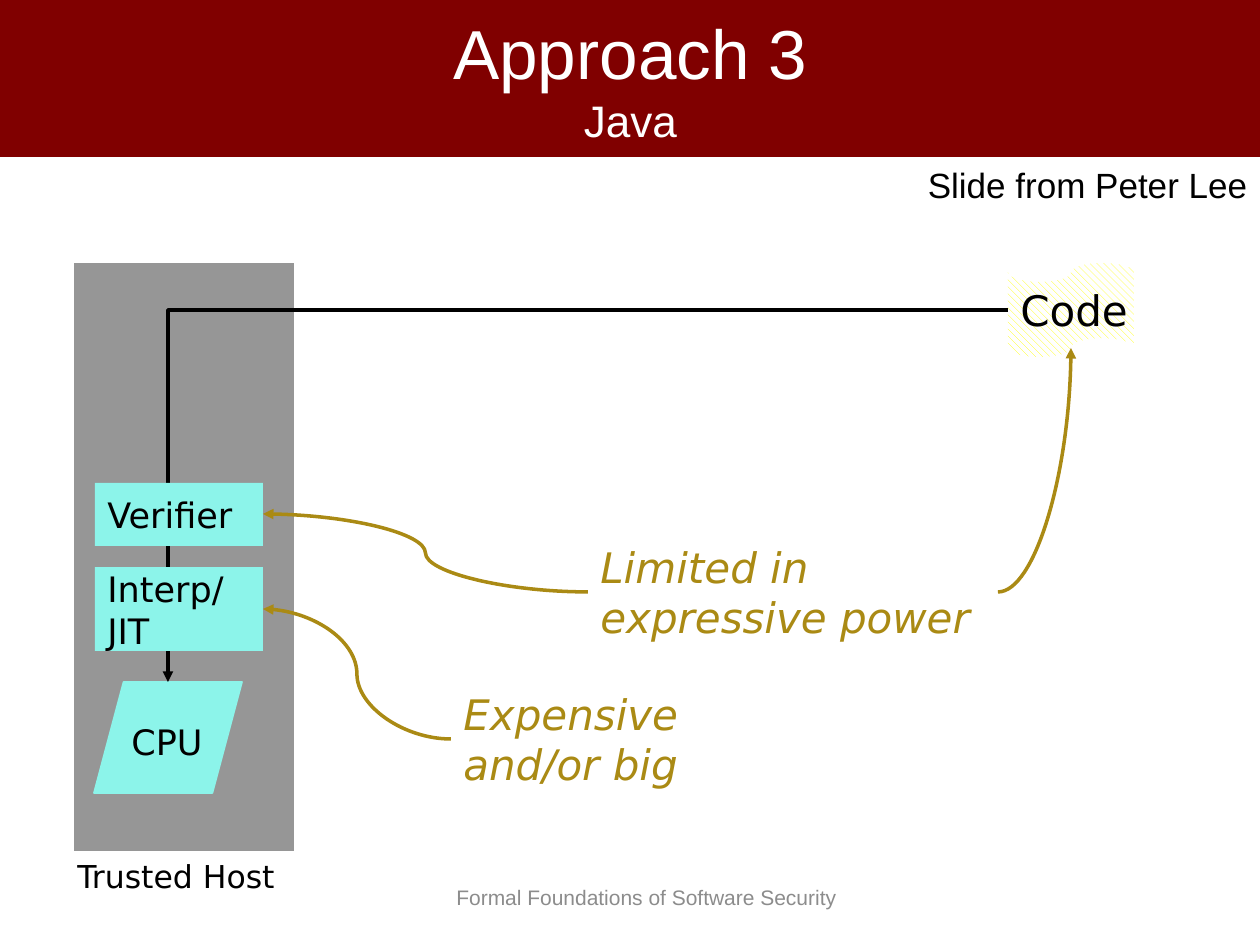
from dataclasses import dataclass

from lxml import etree
from pptx import Presentation
from pptx.dml.color import RGBColor
from pptx.enum.dml import MSO_PATTERN
from pptx.enum.shapes import MSO_CONNECTOR, MSO_SHAPE
from pptx.enum.text import MSO_ANCHOR, MSO_AUTO_SIZE, PP_ALIGN
from pptx.oxml.ns import qn
from pptx.util import Pt

RECT = MSO_SHAPE.RECTANGLE
DATA = MSO_SHAPE.FLOWCHART_DATA
TAPE = MSO_SHAPE.FLOWCHART_PUNCHED_TAPE
ELBOW, CURVE = MSO_CONNECTOR.ELBOW, MSO_CONNECTOR.CURVE
LEFT, CENTER, RIGHT = PP_ALIGN.LEFT, PP_ALIGN.CENTER, PP_ALIGN.RIGHT
TOP, MIDDLE = MSO_ANCHOR.TOP, MSO_ANCHOR.MIDDLE

BLACK = RGBColor(0x00, 0x00, 0x00)
WHITE = RGBColor(0xFF, 0xFF, 0xFF)
MAROON = RGBColor(0x80, 0x00, 0x00)
GRAY = RGBColor(0x96, 0x96, 0x96)
FOOTER_GRAY = RGBColor(0x8C, 0x8C, 0x8C)
AQUA = RGBColor(0x8C, 0xF4, 0xEA)
YELLOW = RGBColor(0xFF, 0xFF, 0x00)
GOLD = RGBColor(0xAA, 0x8A, 0x14)

SANS, BODY = "Arial", "DejaVu Sans"
EMU_PER_PX = 914400 / 126


@dataclass
class Area:
    left: int
    top: int
    width: int
    height: int

    def emu(self) -> list[int]:
        return [px(v) for v in (self.left, self.top, self.width, self.height)]


@dataclass
class Label:
    text: str
    size: float
    font: str = BODY
    color: RGBColor = BLACK
    italic: bool = False
    align: PP_ALIGN = LEFT
    anchor: MSO_ANCHOR = TOP
    wrap: bool = True


@dataclass
class Link:
    kind: MSO_CONNECTOR
    start: tuple[int, int]
    end: tuple[int, int]
    color: RGBColor
    preset: str


def px(value: int) -> int:
    return round(value * EMU_PER_PX)


def write(shape, label: Label) -> None:
    frame = shape.text_frame
    frame.word_wrap = label.wrap
    frame.auto_size = MSO_AUTO_SIZE.NONE
    frame.vertical_anchor = label.anchor
    frame.text = label.text
    para = frame.paragraphs[0]
    para.alignment = label.align
    para.font.name = label.font
    para.font.size = Pt(label.size)
    para.font.italic = label.italic
    para.font.color.rgb = label.color


def add_block(page, kind: MSO_SHAPE, area: Area, color: RGBColor):
    block = page.shapes.add_shape(kind, *area.emu())
    block.shadow.inherit = False
    block.fill.solid()
    block.fill.fore_color.rgb = color
    block.line.fill.background()
    return block


def add_label(page, area: Area, label: Label) -> None:
    write(page.shapes.add_textbox(*area.emu()), label)


def add_link(page, link: Link) -> None:
    ends = [px(v) for v in (*link.start, *link.end)]
    line = page.shapes.add_connector(link.kind, *ends)
    line.line.color.rgb = link.color
    line.line.width = Pt(2)
    properties = line._element.spPr
    properties.find(qn("a:prstGeom")).set("prst", link.preset)
    etree.SubElement(properties.find(qn("a:ln")), qn("a:tailEnd"), type="triangle")
    etree.SubElement(properties, qn("a:effectLst"))


def add_title(page) -> None:
    title = page.shapes.title
    title.left, title.top, title.width, title.height = Area(0, 0, 1261, 157).emu()
    title.fill.solid()
    title.fill.fore_color.rgb = MAROON
    write(title, Label("Approach 3\vJava", 39.6, SANS, WHITE, align=CENTER, anchor=MIDDLE))
    title.text_frame.paragraphs[0].runs[1].font.size = Pt(25.2)


def main() -> None:
    deck = Presentation()
    deck.slide_width, deck.slide_height = px(1260), px(945)
    page = deck.slides.add_slide(deck.slide_layouts[5])
    add_title(page)

    # Trusted host and its processor
    add_block(page, RECT, Area(74, 263, 220, 588), GRAY)
    cpu = add_block(page, DATA, Area(94, 682, 148, 111), AQUA)
    cpu.line.color.rgb = AQUA
    cpu.line.width = Pt(1)
    add_label(page, Area(119, 714, 111, 55), Label("CPU", 20))
    add_label(page, Area(65, 851, 228, 50), Label("Trusted Host", 18, wrap=False))

    # Code travels down to the processor, behind the checking stages
    add_link(page, Link(ELBOW, (1008, 310), (168, 682), BLACK, "bentConnector2"))
    code = add_block(page, TAPE, Area(1008, 263, 126, 94), WHITE)
    code.fill.patterned()
    code.fill.pattern = MSO_PATTERN.WIDE_DOWNWARD_DIAGONAL
    code.fill.fore_color.rgb = YELLOW
    code.fill.back_color.rgb = WHITE
    write(code, Label("Code", 24, anchor=MIDDLE, wrap=False))

    # Checking stages
    for name, top, height in (("Verifier", 483, 63), ("Interp/ JIT", 567, 84)):
        stage = add_block(page, RECT, Area(95, top, 168, height), AQUA)
        write(stage, Label(name, 20, anchor=MIDDLE))

    # Drawbacks and what they point at
    for text, area in (
        ("Expensive and/or big", Area(451, 682, 347, 114)),
        ("Limited in expressive power", Area(588, 535, 410, 114)),
    ):
        add_label(page, area, Label(text, 24, color=GOLD, italic=True))
    for start, end, preset in (
        ((451, 739), (263, 609), "curvedConnector3"),
        ((588, 592), (263, 514), "curvedConnector3"),
        ((998, 592), (1071, 348), "curvedConnector2"),
    ):
        add_link(page, Link(CURVE, start, end, GOLD, preset))

    # Credit and footer
    add_label(page, Area(906, 157, 354, 55),
              Label("Slide from Peter Lee", 20, SANS, align=RIGHT))
    add_label(page, Area(444, 872, 426, 50),
              Label("Formal Foundations of Software Security", 12, SANS,
                    FOOTER_GRAY, anchor=MIDDLE))

    deck.save("out.pptx")


if __name__ == "__main__":
    main()
